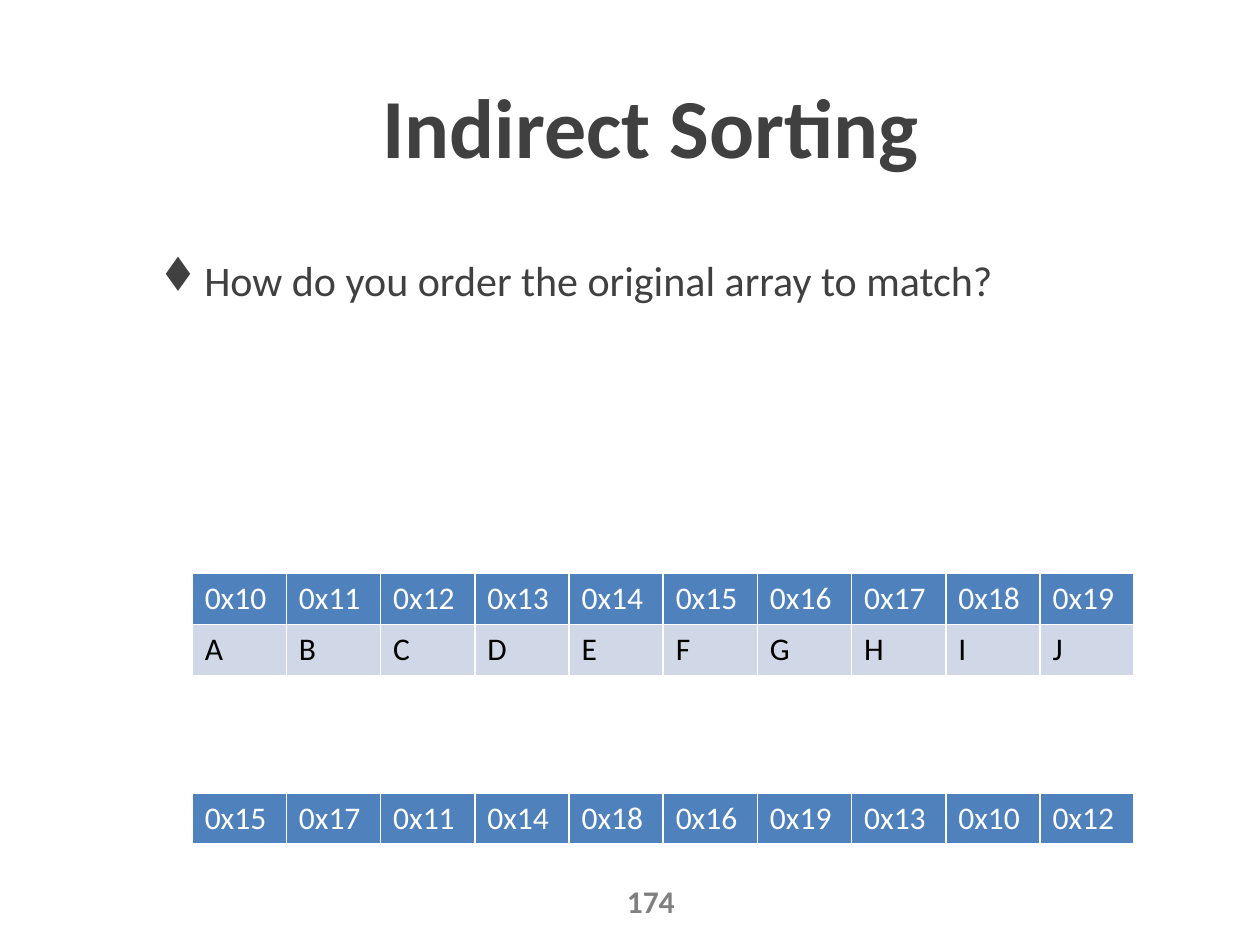
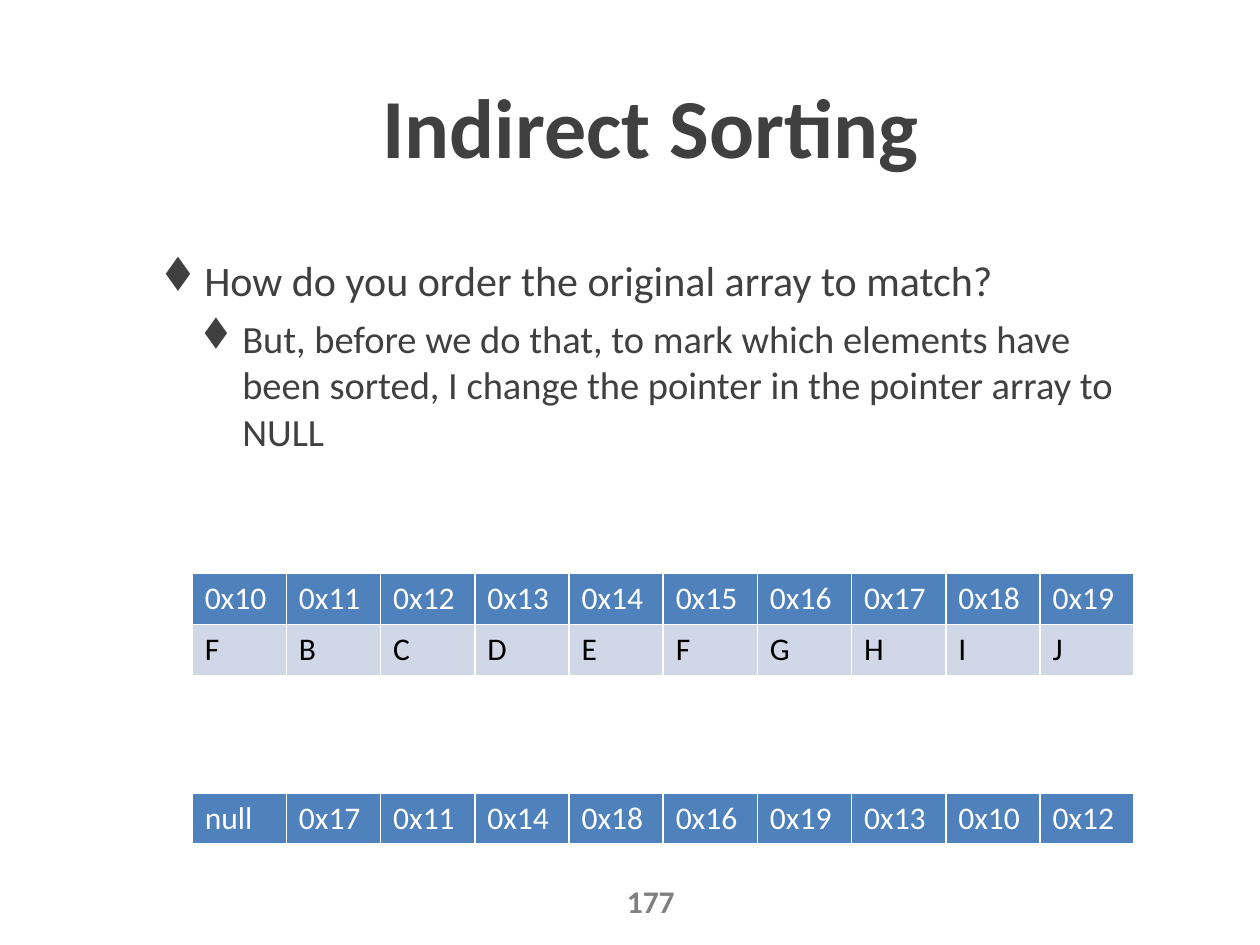
from pptx import Presentation
from pptx.dml.color import RGBColor
from pptx.enum.text import MSO_ANCHOR, MSO_AUTO_SIZE, PP_ALIGN
from pptx.oxml.ns import qn
from pptx.util import Pt
from lxml.etree import SubElement

COLORS = {"text": "404040", "number": "808080", "header": "4F81BD",
          "band": "D0D8E8", "white": "FFFFFF", "black": "000000"}
FONT = "Calibri"
BULLET_FONT, DIAMOND = "Wingdings", "t"  # "t" is the diamond in this symbol font
TITLE = "Indirect Sorting"
QUESTION = "How do you order the original array to match?"
MARKING = ("But, before we do that, to mark which elements have been sorted, "
           "I change the pointer in the pointer array to NULL")
BULLETS = [  # size, left margin, hanging indent, space before for each level
    (24, 22.5, 22.5, 20),
    (22, 45.7, 23.2, 6),
]
TABLE_LEFT, TABLE_WIDTH, ROW_HEIGHT = 109.8, 538.4, 29.2
ADDRESSES = [f"0x{n}" for n in range(10, 20)]
POINTERS = "0x17 0x11 0x14 0x18 0x16 0x19 0x13 0x10 0x12".split()

# page number, bullets, first array value, first pointer
SLIDES = [
    (174, [QUESTION], "A", "0x15"),
    (177, [QUESTION, MARKING], "F", "null"),
]


def write(p, text, size=18, color="text", bold=False, align=None):
    p.alignment = align
    r = p.add_run()
    r.text = text
    r.font.name = FONT
    r.font.size = Pt(size)
    r.font.bold = bold
    r.font.color.rgb = RGBColor.from_string(COLORS[color])


prs = Presentation()
prs.slide_width, prs.slide_height = Pt(720), Pt(540)

for number, bullets, first_value, first_pointer in SLIDES:
    s = prs.slides.add_slide(prs.slide_layouts[5])

    title = s.shapes.title
    title.left, title.top, title.width, title.height = Pt(85.7), Pt(21.6), Pt(572.4), Pt(105)
    tf = title.text_frame
    tf.vertical_anchor = MSO_ANCHOR.MIDDLE
    tf.auto_size = MSO_AUTO_SIZE.NONE
    p = tf.paragraphs[0]
    p.line_spacing = Pt(52)
    write(p, TITLE, size=48, bold=True, align=PP_ALIGN.CENTER)

    body = s.shapes.add_textbox(Pt(85.7), Pt(141.8), Pt(572.4), Pt(340.6))
    tf = body.text_frame
    tf.word_wrap = True
    for level, text in enumerate(bullets):
        size, margin, hanging, before = BULLETS[level]
        p = tf.add_paragraph() if level else tf.paragraphs[0]
        p.level = level
        p.space_before = Pt(before)
        write(p, text, size=size)
        pPr = p._p.get_or_add_pPr()
        pPr.set("marL", str(Pt(margin)))
        pPr.set("indent", str(-Pt(hanging)))
        SubElement(pPr, qn("a:buFont"), typeface=BULLET_FONT, pitchFamily="2", charset="2")
        SubElement(pPr, qn("a:buChar"), char=DIAMOND)

    page = s.shapes.add_textbox(Pt(347.8), Pt(500.4), Pt(48.2), Pt(28.8))
    tf = page.text_frame
    tf.word_wrap = True
    tf.vertical_anchor = MSO_ANCHOR.MIDDLE
    write(tf.paragraphs[0], str(number), color="number", bold=True, align=PP_ALIGN.CENTER)

    array = [ADDRESSES, [first_value, *"BCDEFGHIJ"]]
    pointers = [[first_pointer, *POINTERS]]
    for top, rows in [(327.6, array), (453, pointers)]:
        table = s.shapes.add_table(len(rows), len(ADDRESSES), Pt(TABLE_LEFT), Pt(top),
                                   Pt(TABLE_WIDTH), Pt(ROW_HEIGHT * len(rows))).table
        for i, values in enumerate(rows):
            fill, color = ("band", "black") if i else ("header", "white")
            for j, value in enumerate(values):
                cell = table.cell(i, j)
                cell.fill.solid()
                cell.fill.fore_color.rgb = RGBColor.from_string(COLORS[fill])
                write(cell.text_frame.paragraphs[0], value, color=color)

prs.save("out.pptx")
